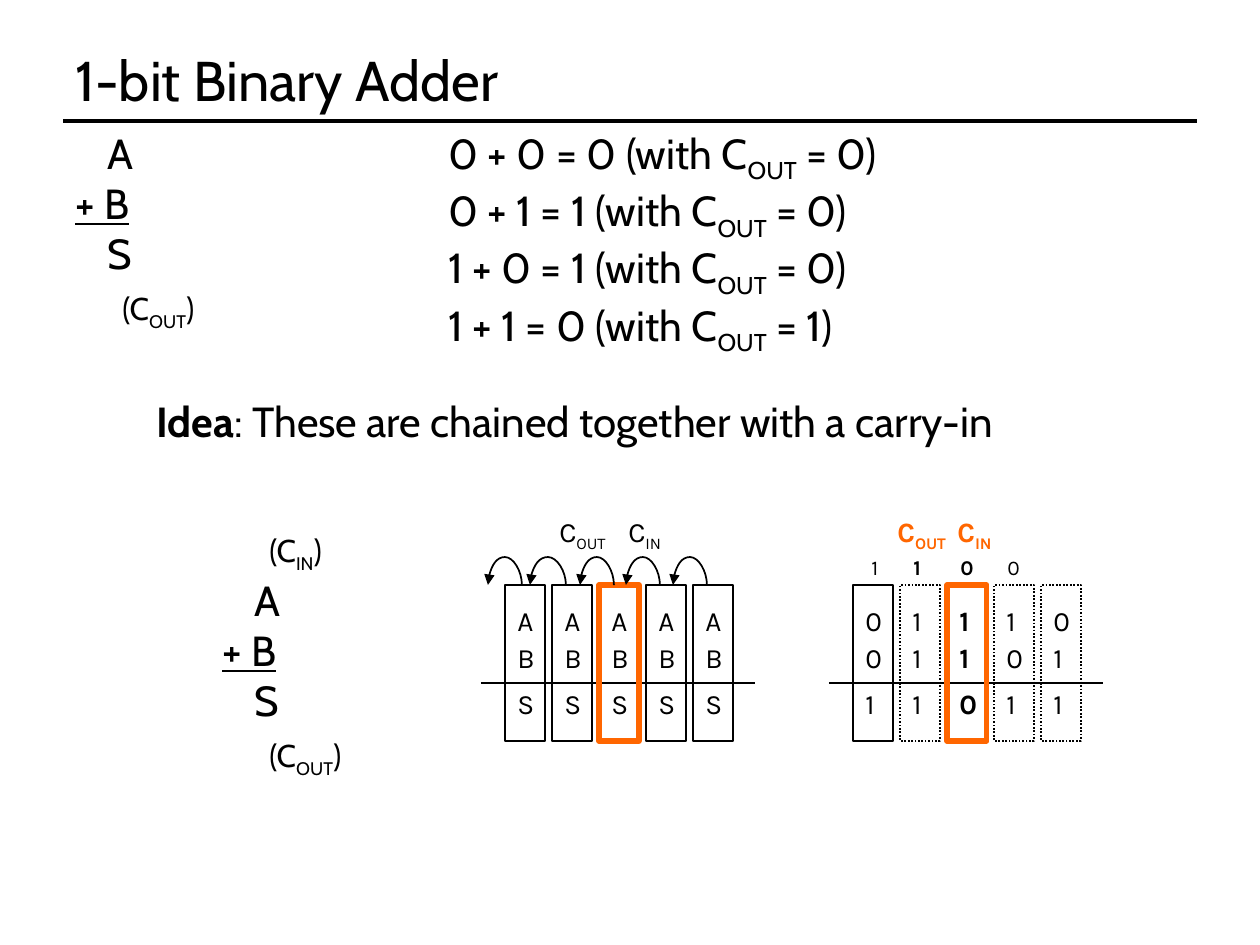
from lxml import etree
from pptx import Presentation
from pptx.dml.color import RGBColor
from pptx.enum.dml import MSO_LINE
from pptx.enum.shapes import MSO_CONNECTOR, MSO_SHAPE
from pptx.enum.text import MSO_ANCHOR, MSO_AUTO_SIZE
from pptx.oxml.ns import qn
from pptx.util import Pt

STRAIGHT, CURVE = MSO_CONNECTOR.STRAIGHT, MSO_CONNECTOR.CURVE
RECTANGLE = MSO_SHAPE.RECTANGLE
DOTTED = MSO_LINE.ROUND_DOT
MIDDLE, TOP = MSO_ANCHOR.MIDDLE, MSO_ANCHOR.TOP
GROW = MSO_AUTO_SIZE.SHAPE_TO_FIT_TEXT

COLORS = {"ink": "000000", "accent": "FF6600"}
EMU_PER_PX = 914400 / 126
ARC_DEPTH = 1588
COLUMN_STEP = 47
COLUMNS = 5
FOCUS = 2


def px(length):
    return round(length * EMU_PER_PX)


class AdderSlide:
    """Draws the elements of one slide in a shared style."""

    def __init__(self, slide):
        self.slide = slide
        self.shapes = slide.shapes

    def outline(self, line, color, weight):
        line.color.rgb = RGBColor.from_string(COLORS[color])
        line.width = Pt(weight)

    def text(self, box, paragraphs, size, font="Cabin", color="ink",
             wrap=True, anchor=TOP):
        frame = self.shapes.add_textbox(*map(px, box)).text_frame
        frame.word_wrap = wrap
        frame.vertical_anchor = anchor
        if anchor == TOP:
            frame.auto_size = GROW
        for index, (runs, indent, scale) in enumerate(paragraphs):
            paragraph = frame.add_paragraph() if index else frame.paragraphs[0]
            if index and scale < 1:
                paragraph.space_before = Pt(size * (1 - scale))
            props = paragraph._p.get_or_add_pPr()
            props.set("marL", "0")
            props.set("indent", str(px(indent)))
            for words, style in runs:
                run = paragraph.add_run()
                run.text = words
                run.font.name = font
                run.font.size = Pt(size * scale)
                run.font.color.rgb = RGBColor.from_string(COLORS[color])
                run.font.bold = "bold" in style
                run.font.underline = "under" in style
                if "sub" in style:
                    run._r.get_or_add_rPr().set("baseline", "-25000")

    def connector(self, kind, ends, weight):
        connector = self.shapes.add_connector(kind, *map(px, ends))
        self.outline(connector.line, "ink", weight)
        etree.SubElement(connector._element.spPr, qn("a:effectLst"))
        return connector

    def rule(self, left, right, y, weight):
        self.connector(STRAIGHT, (left, y, right, y), weight)

    def carry_arc(self, start, end, y, rise=31):
        arc = self.connector(CURVE, (start, y, end, y), 1)
        span = px(start - end)
        arc.left = px((start + end) / 2) - ARC_DEPTH // 2
        arc.top = px(y) - span // 2
        arc.width, arc.height = ARC_DEPTH, span
        props = arc._element.spPr
        transform = props.find(qn("a:xfrm"))
        transform.set("rot", "5400000")
        transform.set("flipH", "1")
        guides = props.find(qn("a:prstGeom")).get_or_add_avLst()
        etree.SubElement(guides, qn("a:gd"), name="adj1",
                         fmla=f"val {round(px(rise) / ARC_DEPTH * 100000)}")
        line = props.find(qn("a:ln"))
        etree.SubElement(line, qn("a:tailEnd"), type="triangle")

    def column(self, left, color="ink", weight=1, dotted=False):
        column = self.shapes.add_shape(RECTANGLE, *map(px, (left, 585, 40, 156)))
        column.shadow.inherit = False
        column.fill.background()
        self.outline(column.line, color, weight)
        if dotted:
            column.line.dash_style = DOTTED

    def cells(self, left, top, symbols, bold=(), size=16, first_indent=0):
        for index, symbol in enumerate(symbols):
            style = "bold" if index in bold else ""
            indent = 0 if index else first_indent
            self.text((left + COLUMN_STEP * index, top, COLUMN_STEP, 47),
                      [([(symbol, style)], indent, 1)], size, "Karla")

    def carry_label(self, left, top, width, name, color="ink", style=""):
        runs = [("C", style), (name, style + " sub")]
        self.text((left, top, width, 47), [(runs, 0, 1)], 16, "Karla", color)

    def addition(self, left, rows, bold=(), dotted=False):
        self.rule(left - 24, left + 250, 683, 1)
        for top, symbols in zip((597, 634, 680), rows):
            self.cells(left, top, symbols, bold)
        for index in range(COLUMNS):
            x = left + COLUMN_STEP * index
            if index == FOCUS:
                self.column(x, "accent", 3)
            else:
                self.column(x, dotted=dotted and index > 0)


def carry_line(name):
    return [("(C", ""), (name, "sub"), (")", "")], 47, 0.75


def main():
    presentation = Presentation()
    presentation.slide_width, presentation.slide_height = px(1260), px(945)
    adder = AdderSlide(presentation.slides.add_slide(presentation.slide_layouts[6]))

    adder.rule(63, 1197, 121, 2)
    adder.text((63, 38, 1134, 83), [([("1-bit Binary Adder", "")], 0, 1)], 32,
               anchor=MIDDLE)

    column_sum = [([("A", "")], 32, 1), ([("+ B", "under")], 0, 1),
                  ([("S", "")], 32, 1), carry_line("OUT")]
    adder.text((63, 121, 161, 217), column_sum, 24)

    cases = [("0 + 0 = 0", 0), ("0 + 1 = 1", 0), ("1 + 0 = 1", 0), ("1 + 1 = 0", 1)]
    truth_table = [([(f"{total} (with C", ""), ("OUT", "sub"), (f" = {carry})", "")], 0, 1)
                   for total, carry in cases]
    adder.text((436, 121, 460, 217), truth_table, 24, wrap=False)

    idea = [("Idea", "bold"), (": These are chained together with a carry-in", "")]
    adder.text((144, 389, 896, 63), [(idea, 0, 1)], 24, wrap=False)

    adder.addition(505, ["A" * COLUMNS, "B" * COLUMNS, "S" * COLUMNS])
    for start, end in ((707, 673), (660, 626), (614, 580), (566, 530), (522, 488)):
        adder.carry_arc(start, end, 585)
    adder.carry_label(616, 508, 77, "IN")
    adder.carry_label(547, 508, 91, "OUT")

    adder.text((210, 525, 161, 256), [carry_line("IN")] + column_sum, 24)

    adder.addition(853, ["01110", "01101", "11011"], bold=(FOCUS,), dotted=True)
    adder.carry_label(945, 508, 77, "IN", "accent", "bold")
    adder.carry_label(885, 508, 91, "OUT", "accent", "bold")
    adder.cells(854, 548, "1100", bold=(1, FOCUS), size=12, first_indent=5)

    presentation.save("out.pptx")


if __name__ == "__main__":
    main()
